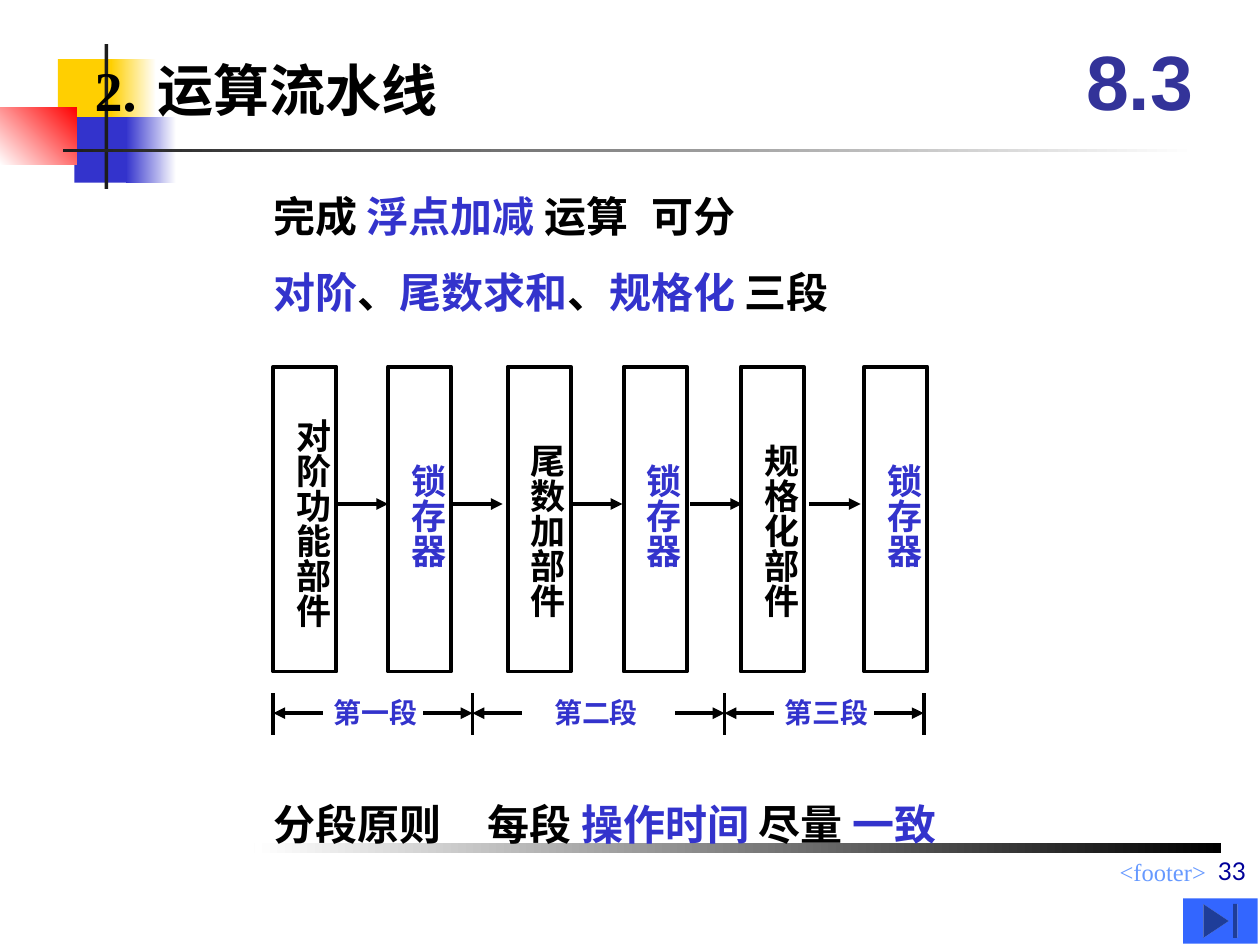
from lxml import etree
from pptx import Presentation
from pptx import util as u
from pptx.dml.color import RGBColor
from pptx.enum import shapes, text
from pptx.oxml.ns import qn

COLORS = {
    "black": "000000", "white": "FFFFFF", "ink": "1C1C1C", "blue": "3333CC",
    "yellow": "FFCF01", "red": "FF0000", "section": "333399",
    "footer": "6699FF", "number": "000099", "button": "3366FF",
}
RECT = shapes.MSO_SHAPE.RECTANGLE
RIGHT, CENTER = text.PP_ALIGN.RIGHT, text.PP_ALIGN.CENTER
MIDDLE, BOTTOM = text.MSO_ANCHOR.MIDDLE, text.MSO_ANCHOR.BOTTOM
FLUSH = (0, 0.05, 0, 0.05)
PADDED = (0.1, 0.05, 0.1, 0.05)
UPRIGHT = (0.05, 0.1, 0.05, 0.1)


def rgb(name):
    return RGBColor.from_string(COLORS[name])


def apply(target, values):
    for name, value in values.items():
        setattr(target, name, value)


class SlideBuilder:
    def __init__(self, slide, font="Times New Roman", line_width=2.25):
        self.s = slide
        self.font = font
        self.line_width = u.Pt(line_width)

    def shape(self, kind, at, fill=None, line=None):
        sp = self.s.shapes.add_shape(kind, *map(u.Inches, at))
        sp.shadow.inherit = False
        if fill:
            sp.fill.solid()
            sp.fill.fore_color.rgb = rgb(fill)
        else:
            sp.fill.background()
        if line:
            sp.line.color.rgb = rgb(line)
            sp.line.width = self.line_width
        else:
            sp.line.fill.background()
        return sp

    def gradient(self, at, start, end, angle=180):
        sp = self.shape(RECT, at, start)
        sp.fill.gradient()
        sp.fill.gradient_angle = angle
        for stop, color in zip(sp.fill.gradient_stops, (start, end)):
            stop.color.rgb = rgb(color)

    def line(self, start, end, arrow=False):
        c = self.s.shapes.add_connector(
            shapes.MSO_CONNECTOR.STRAIGHT, *map(u.Inches, (*start, *end)))
        c.line.color.rgb = rgb("black")
        c.line.width = self.line_width
        if arrow:
            ln = c.element.spPr.find(qn("a:ln"))
            etree.SubElement(ln, qn("a:tailEnd"), type="triangle")
        etree.SubElement(c.element.spPr, qn("a:effectLst"))

    def fill_text(self, sp, paragraphs, size, bold=True, font=None, insets=FLUSH,
                  anchor=text.MSO_ANCHOR.TOP, align=text.PP_ALIGN.LEFT,
                  spacing=1.0, wrap=True, tab=None):
        """Fill a shape with paragraphs, each a list of (text, colour) runs."""
        tf = sp.text_frame
        sides = ("margin_left", "margin_top", "margin_right", "margin_bottom")
        apply(tf, dict(zip(sides, map(u.Inches, insets))))
        apply(tf, {"word_wrap": wrap, "vertical_anchor": anchor,
                   "auto_size": text.MSO_AUTO_SIZE.NONE})
        for i, runs in enumerate(paragraphs):
            p = tf.add_paragraph() if i else tf.paragraphs[0]
            apply(p, {"alignment": align, "line_spacing": spacing,
                      "space_before": u.Pt(0)})
            pPr = p._p.get_or_add_pPr()
            if sp.is_placeholder:
                pPr.set("marL", "0")
                pPr.set("indent", "0")
                etree.SubElement(pPr, qn("a:buNone"))
            if tab:
                tabs = etree.SubElement(pPr, qn("a:tabLst"))
                etree.SubElement(tabs, qn("a:tab"), pos=str(u.Inches(tab)), algn="l")
            for words, color in runs:
                r = p.add_run()
                r.text = words
                apply(r.font, {"size": u.Pt(size), "bold": bold,
                               "name": font or self.font})
                r.font.color.rgb = rgb(color)

    def text(self, at, paragraphs, size, **style):
        sp = self.s.shapes.add_textbox(*map(u.Inches, at))
        self.fill_text(sp, paragraphs, size, **style)
        return sp

    def placeholder(self, index, at, paragraphs, size, **style):
        """Move a template placeholder to the front and fill it."""
        sp = self.s.placeholders[index]
        apply(sp, dict(zip(("left", "top", "width", "height"), map(u.Inches, at))))
        self.s.shapes.element.append(sp.element)
        self.fill_text(sp, paragraphs, size, **style)

    def stage(self, left, label, color, top, height):
        """Draw one pipeline box with its vertical label."""
        sp = self.text((left, top, 0.53, height), [[(label, color)]], 20,
                       insets=UPRIGHT, wrap=False)
        sp.text_frame.auto_size = text.MSO_AUTO_SIZE.SHAPE_TO_FIT_TEXT
        sp.element.find(qn("p:txBody")).find(qn("a:bodyPr")).set("vert", "eaVert")
        self.shape(RECT, (left, 2.91, 0.5, 2.42), line="black")


def draw_template(b):
    b.shape(RECT, (0.46, 0.47, 0.48, 0.52), "yellow")
    b.gradient((0.88, 0.47, 0.36, 0.52), "white", "yellow")
    b.shape(RECT, (0.59, 0.93, 0.46, 0.52), "blue")
    b.gradient((1, 0.93, 0.4, 0.52), "white", "blue")
    b.gradient((0, 0.85, 0.61, 0.46), "red", "white", 225)
    b.shape(RECT, (0.83, 0.35, 0.03, 1.15), "ink")
    b.gradient((0.5, 1.18, 9, 0.03), "white", "ink")
    b.gradient((2.02, 6.69, 7.67, 0.08), "black", "white")
    b.text((3.92, 6.75, 5.75, 0.26), [[("<footer>", "footer")]], 14,
           bold=False, insets=PADDED, align=RIGHT)


def draw_pipeline(b):
    units = [(2.17, "对阶功能部件", 3.22, 1.77, 3.08),
             (4.03, "尾数加部件", 3.42, 1.49, 4.95),
             (5.88, "规格化部件", 3.42, 1.49, 6.86)]
    for left, label, top, height, latch_left in units:
        b.stage(left, label, "black", top, height)
        b.stage(latch_left, "锁存器", "blue", 3.58, 0.94)
    for x in (2.67, 3.58, 4.53, 5.48, 6.42):
        b.line((x, 4), (x + 0.41, 4), arrow=True)


def draw_segments(b):
    ticks = (2.17, 3.75, 5.75, 7.33)
    y, length = 5.66, 0.39
    for x in ticks:
        b.line((x, 5.5), (x, 5.83))
    labels = [(2.55, "第一段"), (4.3, "第二段"), (6.13, "第三段")]
    for start, end, (left, label) in zip(ticks, ticks[1:], labels):
        b.line((start + length, y), (start, y), arrow=True)
        b.line((end - length, y), (end, y), arrow=True)
        b.text((left, 5.47, 0.86, 0.37), [[(label, "blue")]], 16,
               insets=PADDED, wrap=False)


def main():
    prs = Presentation()
    prs.slide_width, prs.slide_height = u.Inches(10), u.Inches(7.5)
    b = SlideBuilder(prs.slides.add_slide(prs.slide_layouts[1]))

    draw_template(b)
    b.placeholder(0, (0.75, 0.42, 3.67, 0.58), [[("2.\t运算流水线", "black")]], 32,
                  anchor=MIDDLE, tab=0.67)
    b.placeholder(1, (2.17, 1.25, 7.08, 1.33), [
        [("完成 ", "black"), ("浮点加减 ", "blue"), ("运算\t可分", "black")],
        [("对阶", "blue"), ("、", "black"), ("尾数求和", "blue"), ("、", "black"),
         ("规格化 ", "blue"), ("三段", "black")],
    ], 24, anchor=MIDDLE, spacing=1.5, tab=2.97)
    b.text((2.17, 6.25, 6.25, 0.58), [
        [("分段原则\t每段 ", "black"), ("操作时间 ", "blue"), ("尽量 ", "black"),
         ("一致", "blue")],
    ], 24, anchor=MIDDLE, tab=1.7)
    draw_pipeline(b)
    draw_segments(b)
    b.text((8.42, 0.17, 1.25, 0.92), [[("8.3", "section")]], 44, font="Arial",
           insets=PADDED, anchor=MIDDLE, align=CENTER)
    b.shape(shapes.MSO_SHAPE.ACTION_BUTTON_END, (9.39, 7.13, 0.59, 0.36), "button")
    b.text((5.21, 6.58, 4.78, 0.5), [[("33", "number")]], 14, bold=False,
           font="Lato", insets=PADDED, anchor=BOTTOM, align=RIGHT)
    prs.save("out.pptx")


if __name__ == "__main__":
    main()
